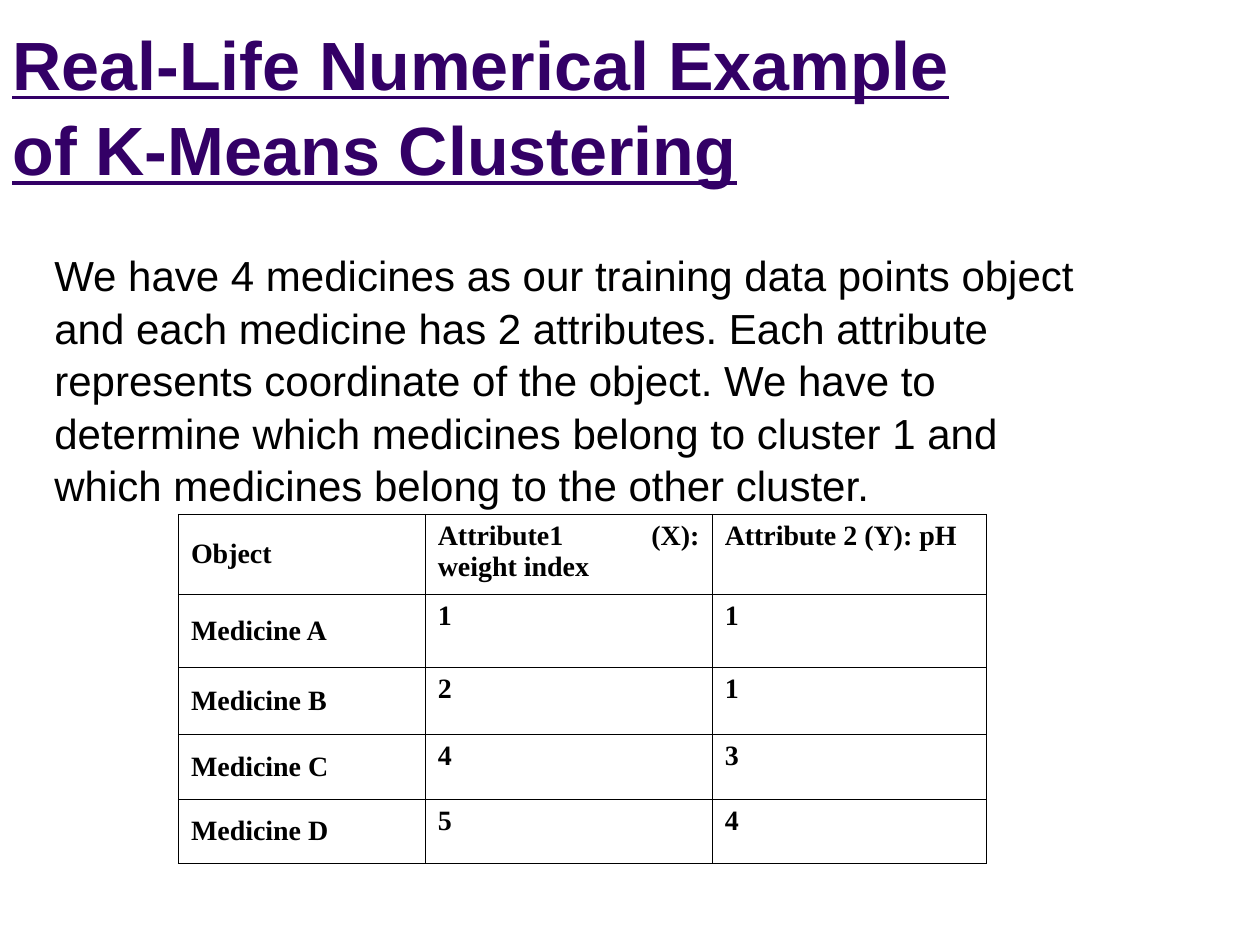
from pptx import Presentation
from pptx.dml.color import RGBColor
from pptx.enum.text import MSO_ANCHOR as Anchor, PP_ALIGN as Align
from pptx.oxml import parse_xml
from pptx.oxml.ns import nsdecls
from pptx.util import Pt

PURPLE = RGBColor(0x33, 0x00, 0x66)
BLACK = RGBColor(0x00, 0x00, 0x00)

TITLE = "Real-Life Numerical Example of K-Means Clustering"
INTRO = (
    "We have 4 medicines as our training data points object and each medicine "
    "has 2 attributes. Each attribute represents coordinate of the object. "
    "We have to determine which medicines belong to cluster 1 and which "
    "medicines belong to the other cluster."
)
MEDICINES = [
    ("Object", "Attribute1 (X): weight index", "Attribute 2 (Y): pH"),
    ("Medicine A", "1", "1"),
    ("Medicine B", "2", "1"),
    ("Medicine C", "4", "3"),
    ("Medicine D", "5", "4"),
]
COLUMN_WIDTHS = (141, 164, 157)
ROW_HEIGHTS = (45.7, 41.7, 38.2, 37.1, 36.6)


def add_text(paragraph, text, size, name, color, bold=False, underline=False):
    """Add one formatted run to a paragraph."""
    run = paragraph.add_run()
    run.text = text
    font = run.font
    font.size, font.name, font.bold, font.underline = Pt(size), name, bold, underline
    font.color.rgb = color


def add_passage(slide, box, anchor, text, size, color, **emphasis):
    """Add a wrapped Arial text box with slightly open lines."""
    frame = slide.shapes.add_textbox(*map(Pt, box)).text_frame
    frame.word_wrap = True
    frame.vertical_anchor = anchor
    passage = frame.paragraphs[0]
    passage.line_spacing = 1.045
    add_text(passage, text, size, "Arial", color, **emphasis)


def add_borders(cell):
    """Draw a thin black line on all four sides of a cell."""
    properties = cell._tc.get_or_add_tcPr()
    for position, side in enumerate(("lnL", "lnR", "lnT", "lnB")):
        properties.insert(position, parse_xml(
            f'<a:{side} {nsdecls("a")} w="{Pt(0.75)}"><a:solidFill>'
            f'<a:srgbClr val="{BLACK}"/></a:solidFill></a:{side}>'
        ))


def add_medicine_table(slide, left, top):
    """Add the table of medicines and their two attributes."""
    table = slide.shapes.add_table(
        len(MEDICINES), len(COLUMN_WIDTHS), Pt(left), Pt(top),
        Pt(sum(COLUMN_WIDTHS)), Pt(sum(ROW_HEIGHTS)),
    ).table
    table.first_row = table.horz_banding = False
    for column, width in zip(table.columns, COLUMN_WIDTHS):
        column.width = Pt(width)
    for row, height, medicine in zip(table.rows, ROW_HEIGHTS, MEDICINES):
        row.height = Pt(height)
        for index, (cell, value) in enumerate(zip(row.cells, medicine)):
            cell.fill.background()
            cell.vertical_anchor = Anchor.TOP if index else Anchor.MIDDLE
            add_borders(cell)
            entry = cell.text_frame.paragraphs[0]
            entry.alignment = Align.JUSTIFY
            add_text(entry, value, 16, "Times New Roman", BLACK, bold=True)


def main():
    """Build the slide and save it."""
    deck = Presentation()
    deck.slide_width, deck.slide_height = Pt(720), Pt(540)
    slide = deck.slides.add_slide(deck.slide_layouts[6])
    add_passage(slide, (0, 9.4, 594, 102.2), Anchor.BOTTOM, TITLE, 39, PURPLE,
                bold=True, underline=True)
    add_passage(slide, (24, 138.2, 618, 180), Anchor.TOP, INTRO, 24, BLACK)
    add_medicine_table(slide, 102, 294)
    deck.save("out.pptx")


if __name__ == "__main__":
    main()
